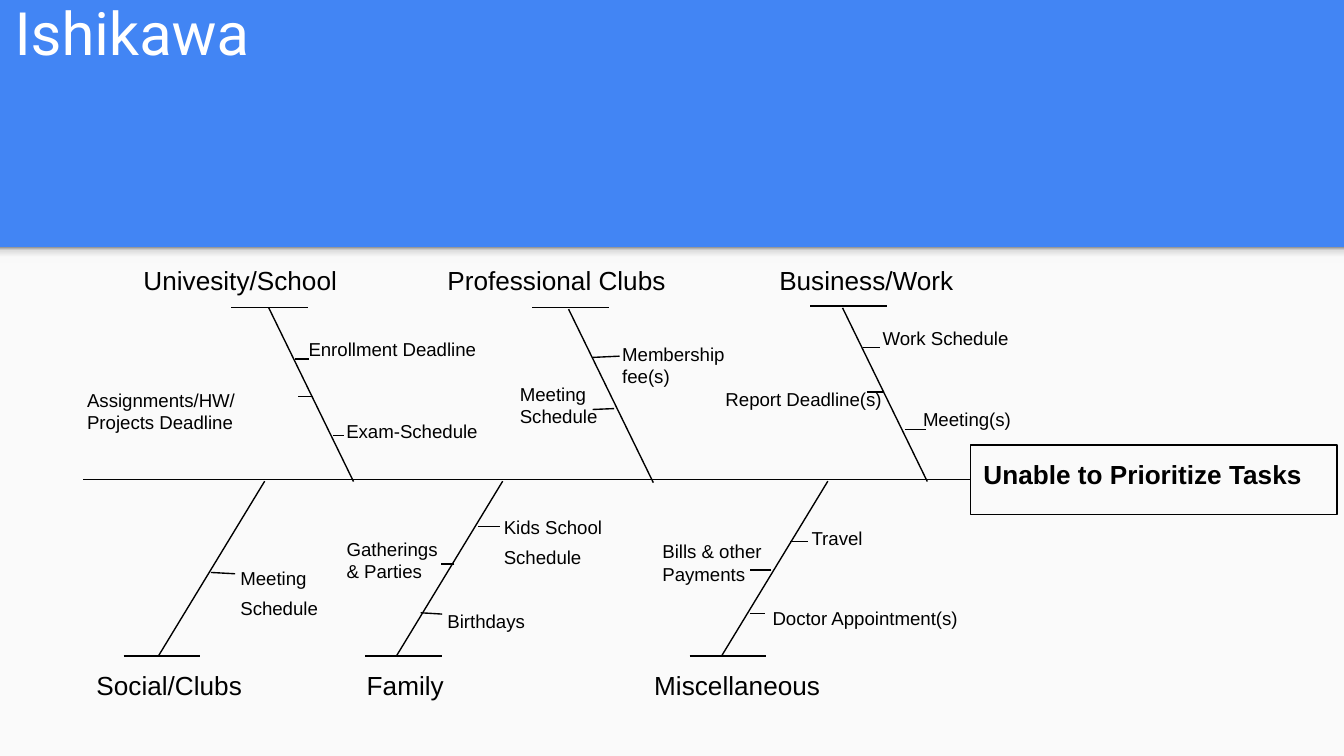
import pptx
import pptx.util
import pptx.dml.color
import pptx.enum.shapes
import pptx.enum.text
import pptx.oxml
import pptx.oxml.ns
from lxml import etree

Pt = pptx.util.Pt
SHAPE = pptx.enum.shapes.MSO_SHAPE
ANCHOR = pptx.enum.text.MSO_ANCHOR

COLOURS = {"blue": "4285F4", "panel": "FAFAFA", "ink": "000000", "white": "FFFFFF"}
SHADOW_STOPS = [(0, "F9F9F9"), (36, "F9F9F9"), (80, "DEDEDE"), (100, "999999")]

SPINE_Y = 257
BAR_WIDTH = 41
# Run and drop of a bone, and the top of its label, on each side of the spine
SIDES = {"upper": (45.4, 93, 134.6), "lower": (-56.9, 93.6, 351.4)}

# Side, label, label left and width, bone start, bar left and top
CATEGORIES = [
    ("upper", "Univesity/School", 69.8, 128, (144, 165), (123.8, 164.9)),
    ("upper", "Professional Clubs", 232.6, 147, (304.6, 165.6), (285.1, 164.9)),
    ("upper", "Business/Work", 410.4, 128, (451.4, 165), (434.2, 163.9)),
    ("lower", "Social/Clubs", 44.6, 120, (141.8, 257.8), (66.2, 351.4)),
    ("lower", "Family", 189.4, 67, (269.3, 257.8), (195.8, 351.4)),
    ("lower", "Miscellaneous", 343.4, 110, (443.5, 257.8), (369.4, 351.4)),
]

# Text, box (left, top, width, height), tick (from x, from y, to x, to y)
CAUSES = [
    ("Enrollment Deadline", (158.2, 175, 106, 22), (158.2, 192.3, 165.6, 192.3)),
    ("Exam-Schedule", (178.4, 218.9, 85, 26), (178.4, 233.3, 184.3, 233.3)),
    ("Assignments/HW/Projects Deadline", (39.6, 200.9, 128, 18), (167.8, 212.4, 159.4, 212.4)),
    ("Membership fee(s)", (326.2, 176.4, 95, 26), (317.5, 191.5, 331.9, 190.8)),
    ("Meeting Schedule", (271.4, 201.3, 57, 11), (329, 218.9, 317.5, 219.4)),
    ("Work Schedule", (465.8, 169.2, 97, 18), (462.2, 186.2, 471.6, 186.2)),
    ("Report Deadline(s)", (381.6, 201.6, 108, 18), (464.4, 210, 473.8, 210)),
    ("Meeting(s)", (487.4, 212.4, 85, 18), (484.6, 230.2, 496.1, 230.2)),
    ("Travel", (427.7, 276.5, 57, 22), (423.4, 290.2, 432.7, 290.2)),
    ("Doctor Appointment(s)", (406.8, 319, 128, 18), (401.8, 328.7, 409.7, 328.7)),
    ("Bills & other Payments", (347.8, 282.2, 91, 30), (413.3, 305.3, 401.8, 305.3)),
    ("Kids School Schedule ", (262.8, 269.3, 76, 26), (256.3, 282.2, 267.8, 282.2)),
    ("Birthdays", (232.6, 320.4, 65, 18), (225.4, 328.3, 236.9, 329)),
    ("Gatherings & Parties", (178.6, 280.8, 67, 30), (243.4, 302.2, 236.2, 302.2)),
    ("Meeting Schedule ", (121.7, 296.6, 57, 18), (113, 306.7, 126, 307.4)),
]


def colour(name):
    return pptx.dml.color.RGBColor.from_string(COLOURS[name])


def write(shape, text, size, font="Arial", ink="ink", bold=False, anchor=ANCHOR.TOP):
    """Fill a shape with one paragraph; a closing space is set taller."""
    frame = shape.text_frame
    frame.word_wrap = True
    frame.vertical_anchor = anchor
    frame.margin_left = frame.margin_right = Pt(7.2)
    frame.margin_top = frame.margin_bottom = Pt(7.2)
    para = frame.paragraphs[0]
    para.alignment = pptx.enum.text.PP_ALIGN.LEFT
    para.font.name = font
    para.font.size = Pt(size)
    para.font.bold = bold
    para.font.color.rgb = colour(ink)
    para.add_run().text = text.rstrip()
    if text.endswith(" "):
        span = para.add_run()
        span.text = " "
        span.font.size = Pt(14)


def add_text(page, text, box, size, **style):
    shape = page.shapes.add_textbox(*map(Pt, box))
    write(shape, text, size, **style)


def add_rectangle(page, box):
    shape = page.shapes.add_shape(SHAPE.RECTANGLE, *map(Pt, box))
    shape.shadow.inherit = False
    return shape


def add_line(page, *ends):
    line = page.shapes.add_connector(
        pptx.enum.shapes.MSO_CONNECTOR.STRAIGHT, *map(Pt, ends))
    line.line.color.rgb = colour("ink")
    line.line.width = Pt(0.75)
    etree.SubElement(line._element.spPr, pptx.oxml.ns.qn("a:effectLst"))
    return line


def add_background(page):
    page.background.fill.solid()
    page.background.fill.fore_color.rgb = colour("blue")

    panel = add_rectangle(page, (0, 132.5, 720, 272.5))
    panel.fill.solid()
    panel.fill.fore_color.rgb = colour("panel")
    panel.line.fill.background()

    # Soft shadow under the blue band, darkest at its top
    shade = add_rectangle(page, (0, 132.5, 720, 8.6))
    shade.line.fill.background()
    shade.fill.gradient()
    shade.fill.gradient_angle = 90
    stops = shade._element.spPr.find(".//" + pptx.oxml.ns.qn("a:gsLst"))
    for stop in list(stops):
        stops.remove(stop)
    for position, value in SHADOW_STOPS:
        stop = etree.SubElement(stops, pptx.oxml.ns.qn("a:gs"), pos=str(position * 1000))
        etree.SubElement(stop, pptx.oxml.ns.qn("a:srgbClr"), val=value)


def add_effect(page):
    """The effect box and the spine that leads to it."""
    box = add_rectangle(page, (519.8, SPINE_Y - 18.7, 196.6, 37.4))
    box.fill.background()
    box.line.color.rgb = colour("ink")
    box.line.width = Pt(0.75)
    write(box, "Unable to Prioritize Tasks", 14, bold=True)
    spine = add_line(page, 44.6, SPINE_Y, 519.8, SPINE_Y)
    spine.end_connect(box, 1)


def add_category(page, side, label, left, width, start, bar):
    run, drop, label_top = SIDES[side]
    x, y = start
    add_line(page, x, y, x + run, y + drop)
    bar_left, bar_top = bar
    add_line(page, bar_left, bar_top, bar_left + BAR_WIDTH, bar_top)
    add_text(page, label, (left, label_top, width, 26), 14)


def add_cause(page, text, box, tick):
    add_line(page, *tick)
    add_text(page, text, box, 10)


def main():
    deck = pptx.Presentation()
    deck.slide_width, deck.slide_height = Pt(720), Pt(405)
    page = deck.slides.add_slide(deck.slide_layouts[6])

    # Background and title
    add_background(page)
    add_text(page, "Ishikawa", (0.7, 0, 647, 43.2), 32,
             font="Roboto", ink="white", anchor=ANCHOR.BOTTOM)

    # Fishbone
    add_effect(page)
    for category in CATEGORIES:
        add_category(page, *category)
    for cause in CAUSES:
        add_cause(page, *cause)

    deck.save("out.pptx")


if __name__ == "__main__":
    main()
